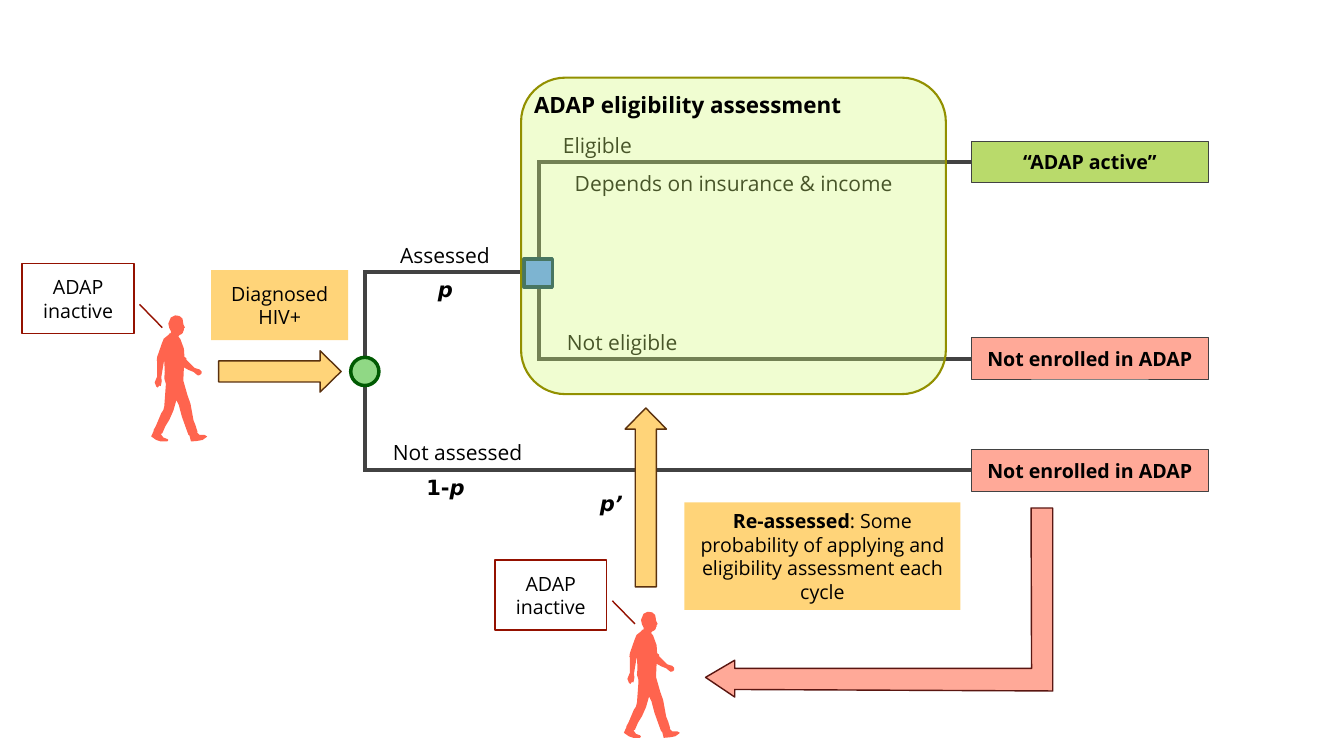
from lxml.etree import SubElement
from pptx import Presentation
from pptx.dml.color import RGBColor
from pptx.enum.shapes import MSO_CONNECTOR, MSO_SHAPE
from pptx.enum.text import MSO_ANCHOR, MSO_AUTO_SIZE, PP_ALIGN
from pptx.oxml.ns import qn
from pptx.util import Pt

PX = 9144  # EMU in one px, 100 px to the inch
BLACK, WHITE, GREY = "000000", "FFFFFF", "424242"
AMBER, BROWN, MAROON = "FFD479", "5A310E", "941100"
CORAL, SALMON, LIME = "FF644E", "FFA998", "B9DA6B"

PLAIN = {"name": "Open Sans", "size": Pt(28), "bold": False, "italic": False}
BOLD = PLAIN | {"bold": True}
LABEL = PLAIN | {"size": Pt(30)}
TITLE = BOLD | {"size": Pt(32)}
NUMBER = LABEL | {"name": "DejaVu Sans", "bold": True}
SYMBOL = NUMBER | {"italic": True}

WALKER = [
    (50, 0), (48, 0), (40, 4), (35, 16), (37, 25), (40, 31), (40, 35), (37, 36), (36, 38),
    (26, 46), (22, 56), (14, 79), (13, 82), (12, 89), (13, 90), (13, 121), (12, 123),
    (8, 133), (10, 138), (11, 141), (14, 143), (17, 139), (20, 140), (22, 130), (21, 123),
    (26, 93), (27, 90), (28, 112), (27, 125), (30, 135), (30, 139), (27, 180), (25, 188),
    (21, 194), (10, 220), (6, 227), (6, 229), (1, 240), (11, 247), (20, 250), (33, 250),
    (35, 247), (33, 245), (30, 244), (25, 242), (20, 235), (23, 234), (29, 220), (37, 207),
    (45, 189), (51, 168), (56, 178), (58, 186), (62, 201), (71, 226), (75, 237), (77, 238),
    (80, 250), (92, 249), (103, 247), (110, 242), (112, 240), (107, 237), (97, 237),
    (92, 232), (93, 231), (89, 218), (85, 208), (79, 175), (73, 158), (65, 130), (65, 124),
    (66, 103), (75, 108), (85, 112), (91, 117), (94, 119), (98, 118), (101, 115),
    (101, 111), (97, 107), (93, 106), (87, 104), (80, 97), (71, 88), (71, 85), (67, 82),
    (66, 66), (59, 47), (55, 42), (57, 39), (61, 37), (64, 34), (65, 30), (66, 29),
    (66, 26), (68, 24), (65, 18), (64, 11), (63, 6), (57, 1),
]
RETURN_ARROW = [(1400, 1344), (1458, 1383), (1458, 1368), (2089, 1371), (2089, 1008),
                (2046, 1008), (2047, 1326), (1458, 1326), (1458, 1310)]


def colour(hex_value):
    return RGBColor.from_string(hex_value)


def write(shape, spans, align=PP_ALIGN.CENTER, anchor=MSO_ANCHOR.MIDDLE, inset=0):
    frame = shape.text_frame
    settings = {"word_wrap": True, "vertical_anchor": anchor}
    settings |= {f"margin_{side}": inset * PX for side in ("left", "top", "right", "bottom")}
    for name, value in settings.items():
        setattr(frame, name, value)
    para = frame.paragraphs[0]
    para.alignment = align
    for text, style in spans:
        span = para.add_run()
        span.text = text
        for name, value in style.items():
            setattr(span.font, name, value)
        span.font.color.rgb = colour(BLACK)


def paint(shape, fill, line=None, width=0):
    shape.shadow.inherit = False
    shape.fill.solid()
    shape.fill.fore_color.rgb = colour(fill)
    if line:
        shape.line.color.rgb = colour(line)
        shape.line.width = Pt(width)
    else:
        shape.line.fill.background()


def add_box(page, kind, box, *look):
    shape = page.shapes.add_shape(kind, *(length * PX for length in box))
    paint(shape, *look)
    return shape


def add_outline(page, points, *look, left=0, top=0):
    start, *rest = [(left + x, top + y) for x, y in points]
    builder = page.shapes.build_freeform(*start, scale=PX)
    builder.add_line_segments(rest, close=True)
    shape = builder.convert_to_shape()
    paint(shape, *look)
    return shape


def add_line(page, ends, tone=GREY, width=6):
    line = page.shapes.add_connector(MSO_CONNECTOR.STRAIGHT, *(end * PX for end in ends))
    line.line.color.rgb = colour(tone)
    line.line.width = Pt(width)
    SubElement(line._element.spPr, qn("a:effectLst"))


def add_label(page, box, spans, align=PP_ALIGN.CENTER):
    label = page.shapes.add_textbox(*(length * PX for length in box))
    write(label, spans, align, inset=6)
    label.text_frame.auto_size = MSO_AUTO_SIZE.SHAPE_TO_FIT_TEXT


def add_note(page, box, spans):
    write(add_box(page, MSO_SHAPE.RECTANGLE, box, AMBER), spans)


def add_block_arrow(page, box, rotation=0):
    arrow = add_box(page, MSO_SHAPE.RIGHT_ARROW, box, AMBER, BROWN, 2)
    arrow.rotation = rotation
    arrow.adjustments[0] = arrow.adjustments[1] = 0.51


def add_patient(page, left, top):
    """Walking figure with its tag and pointer."""
    add_outline(page, WALKER, CORAL, left=left, top=top)
    tag = add_box(page, MSO_SHAPE.RECTANGLE, (left - 255, top - 103, 222, 139), WHITE, MAROON, 2)
    write(tag, [("ADAP inactive", PLAIN)])
    add_line(page, (left + 23, top + 24, left - 22, top - 22), MAROON, 2)


def add_outcome(page, middle, text, fill):
    box = (1927, middle - 41, 471, 82)
    write(add_box(page, MSO_SHAPE.RECTANGLE, box, fill, GREY, 1), [(text, BOLD)])


def add_fork(page, left, upper, lower, upper_end, lower_end):
    """Upright stem with a branch at each end."""
    add_line(page, (left, lower + 3, left, upper - 3))
    add_line(page, (left - 3, upper, upper_end, upper))
    add_line(page, (left - 3, lower, lower_end, lower))


def add_assessment_tree(page, left, upper, lower):
    """First split: assessed or not."""
    add_fork(page, left, upper, lower, 1043, 1944)
    add_box(page, MSO_SHAPE.OVAL, (left - 28, 709, 56, 56), "90D885", "005A02", 5)
    add_label(page, (left + 23, upper - 63, 272, 60), [("Assessed", LABEL)])
    add_label(page, (left - 4, lower - 66, 376, 60), [("Not assessed", LABEL)])
    add_label(page, (left + 89, upper + 3, 142, 61), [("p", SYMBOL)])
    add_label(page, (left + 89, lower + 2, 142, 61), [("1-", NUMBER), ("p", SYMBOL)])


def add_eligibility_tree(page, left, upper, lower):
    """Second split, under a translucent panel."""
    add_fork(page, left, upper, lower, 1944, 1944)
    add_box(page, MSO_SHAPE.RECTANGLE, (left - 29, 514, 56, 56), "5190FF", "003255", 5)
    add_label(page, (left + 42, upper - 64, 272, 60), [("Eligible", LABEL)], PP_ALIGN.LEFT)
    add_label(page, (left + 50, lower - 64, 272, 60), [("Not eligible", LABEL)], PP_ALIGN.LEFT)
    add_label(page, (left + 11, upper + 12, 752, 60), [("Depends on insurance & income", LABEL)])
    panel = add_box(page, MSO_SHAPE.ROUNDED_RECTANGLE, (left - 35, upper - 167, 843, 628),
                    "D4FB79", "929000", 3)
    panel.adjustments[0] = 0.14
    tint = panel._element.spPr.find(qn("a:solidFill"))[0]
    SubElement(tint, qn("a:alpha"), val="34000")
    write(panel, [("ADAP eligibility assessment", TITLE)], PP_ALIGN.LEFT, MSO_ANCHOR.TOP)


def add_reassessment(page):
    """Loop from not enrolled back to assessment."""
    add_outline(page, RETURN_ARROW, SALMON, "5A1611", 2)
    add_block_arrow(page, (1104, 946, 355, 82), 270)
    add_note(page, (1358, 997, 548, 213), [
        ("Re-assessed", BOLD),
        (": Some probability of applying and eligibility assessment each cycle", PLAIN)])
    add_label(page, (1142, 968, 142, 61), [("p’", SYMBOL)])


def main():
    deck = Presentation()
    deck.slide_width, deck.slide_height = 2667 * PX, 1500 * PX
    page = deck.slides.add_slide(deck.slide_layouts[6])

    # Diagnosis and the two decision trees
    add_assessment_tree(page, 724, 540, 933)
    add_patient(page, 299, 626)
    add_block_arrow(page, (434, 696, 243, 82))
    add_note(page, (419, 536, 272, 139), [("Diagnosed HIV+", PLAIN)])
    add_eligibility_tree(page, 1069, 321, 713)

    # Return loop
    add_patient(page, 1237, 1214)
    add_reassessment(page)

    # Outcomes
    add_outcome(page, 321, "“ADAP active”", LIME)
    for middle in (711, 933):
        add_outcome(page, middle, "Not enrolled in ADAP", SALMON)

    deck.save("out.pptx")


if __name__ == "__main__":
    main()
